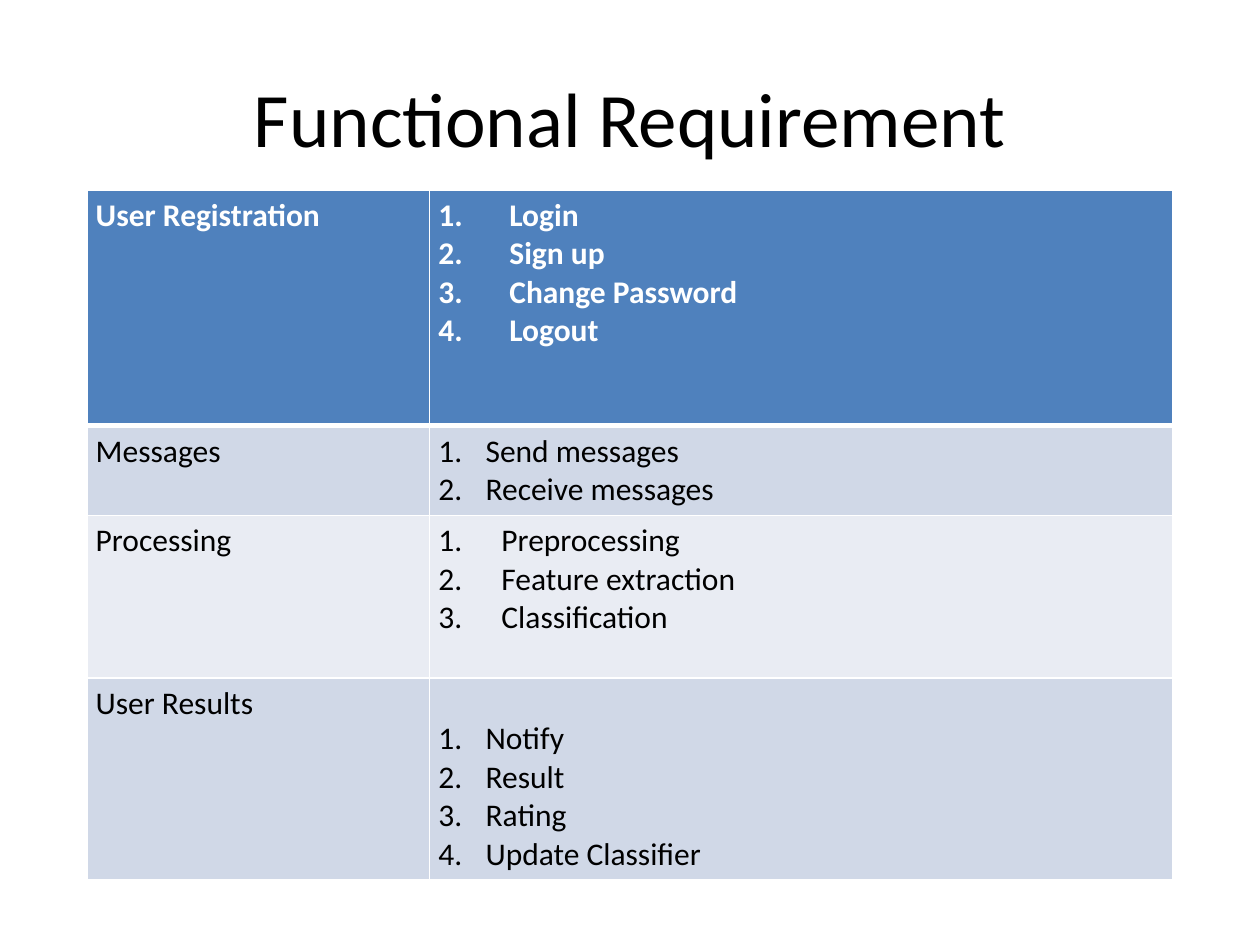
from lxml.etree import SubElement
from pptx import Presentation
from pptx.dml.color import RGBColor
from pptx.enum.text import MSO_ANCHOR, PP_ALIGN
from pptx.oxml.ns import qn
from pptx.util import Cm, Pt

WHITE = RGBColor(0xFF, 0xFF, 0xFF)
BLACK = RGBColor(0x00, 0x00, 0x00)
BLUE = RGBColor(0x4F, 0x81, 0xBD)
BAND_DARK = RGBColor(0xD0, 0xD8, 0xE7)
BAND_LIGHT = RGBColor(0xE9, 0xEC, 0xF3)

THIN, THICK = Pt(1), Pt(3)
TITLE_FORMAT = {"name": "Calibri", "size": Pt(44), "bold": False}
BODY_FORMAT = {"name": "Calibri", "size": Pt(18), "bold": False}
HEADER_FORMAT = {**BODY_FORMAT, "bold": True}
CELL_MARGINS = {"margin_left": Cm(0.18), "margin_right": Cm(0.18),
                "margin_top": Cm(0.13), "margin_bottom": Cm(0.13)}

COLUMN_SHARES = (0.3155, 0.6845)
# Category, its items, row height, number indent, space above the items
REQUIREMENTS = [
    ("User Registration", ["Login", "Sign up", "Change Password", "Logout"],
     Cm(4.75), Cm(1.43), Cm(0)),
    ("Messages", ["Send messages", "Receive messages"],
     Cm(1.8), Cm(0.95), Cm(0)),
    ("Processing", ["Preprocessing", "Feature extraction", "Classification"],
     Cm(3.28), Cm(1.27), Cm(0)),
    ("User Results", ["Notify", "Result", "Rating", "Update Classifier"],
     Cm(4.05), Cm(0.95), Cm(0.71)),
]


def apply_format(target, values):
    for name, value in values.items():
        setattr(target, name, value)


def add_borders(cell, widths):
    """Draw white borders, given the width of each side by its tag."""
    properties = cell._tc.get_or_add_tcPr()
    for tag, width in widths.items():
        line = SubElement(properties, qn(f"a:{tag}"), w=str(width))
        fill = SubElement(line, qn("a:solidFill"))
        SubElement(fill, qn("a:srgbClr"), val=str(WHITE))


def number_paragraph(paragraph, indent):
    properties = paragraph._p.get_or_add_pPr()
    properties.set("marL", str(indent))
    properties.set("indent", str(-indent))
    SubElement(properties, qn("a:buFont"), typeface="+mj-lt")
    SubElement(properties, qn("a:buAutoNum"), type="arabicPeriod")


def fill_cell(cell, lines, font_format, color, background, widths):
    add_borders(cell, widths)
    cell.fill.solid()
    cell.fill.fore_color.rgb = background
    apply_format(cell, CELL_MARGINS)
    cell.text = "\n".join(lines)
    for paragraph in cell.text_frame.paragraphs:
        font = paragraph.runs[0].font
        apply_format(font, font_format)
        font.color.rgb = color


def place_title(slide, text, left, top, width, height):
    title = slide.shapes.title
    apply_format(title, {"left": left, "top": top, "width": width, "height": height})
    title.text_frame.vertical_anchor = MSO_ANCHOR.MIDDLE
    title.text = text
    paragraph = title.text_frame.paragraphs[0]
    paragraph.alignment = PP_ALIGN.CENTER
    font = paragraph.runs[0].font
    apply_format(font, TITLE_FORMAT)
    font.color.rgb = BLACK


def add_requirements_table(slide, left, top, width):
    height = sum(requirement[2] for requirement in REQUIREMENTS)
    table = slide.shapes.add_table(
        len(REQUIREMENTS), len(COLUMN_SHARES), left, top, width, height).table
    apply_format(table, {"first_row": False, "horz_banding": False})
    for column, share in zip(table.columns, COLUMN_SHARES):
        column.width = round(width * share)

    for index, (category, items, row_height, indent, gap) in enumerate(REQUIREMENTS):
        table.rows[index].height = row_height
        if index == 0:
            style = (HEADER_FORMAT, WHITE, BLUE)
        else:
            style = (BODY_FORMAT, BLACK, BAND_DARK if index % 2 else BAND_LIGHT)
        widths = {"lnL": THIN, "lnR": THIN,
                  "lnT": THICK if index == 1 else THIN,
                  "lnB": THICK if index == 0 else THIN}
        category_cell, items_cell = table.rows[index].cells
        fill_cell(category_cell, [category], *style, widths)
        fill_cell(items_cell, items, *style, widths)
        items_cell.margin_top += gap
        for paragraph in items_cell.text_frame.paragraphs:
            number_paragraph(paragraph, indent)


def main():
    presentation = Presentation()
    presentation.slide_width, presentation.slide_height = Cm(25.4), Cm(19.05)
    slide = presentation.slides.add_slide(presentation.slide_layouts[5])
    place_title(slide, "Functional Requirement", Cm(1.27), Cm(0.76), Cm(22.86), Cm(3.18))
    add_requirements_table(slide, Cm(1.75), Cm(3.83), Cm(21.9))
    presentation.save("out.pptx")


if __name__ == "__main__":
    main()
